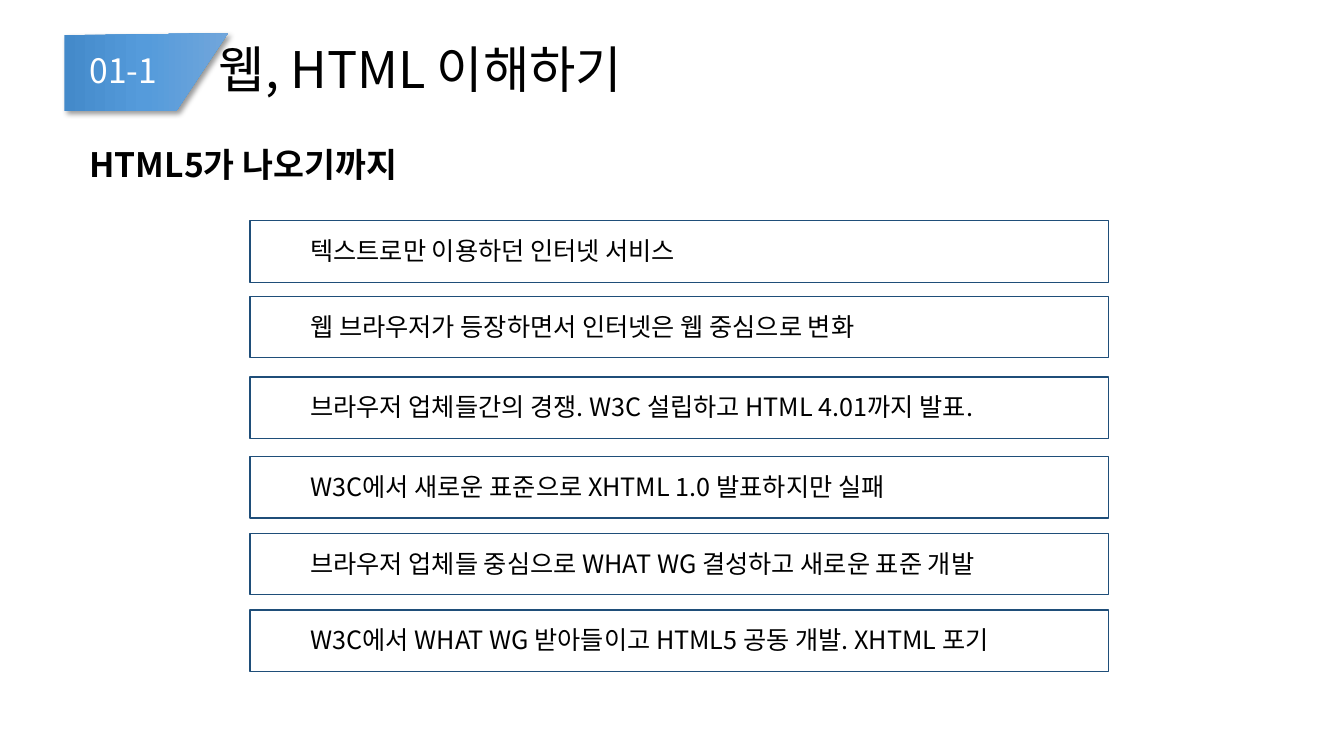
import copy

import lxml.etree
import pptx
import pptx.dml.color
import pptx.enum.shapes
import pptx.enum.text
import pptx.oxml.ns
import pptx.util

Pt = pptx.util.Pt
RGBColor = pptx.dml.color.RGBColor
qn = pptx.oxml.ns.qn

BLACK = RGBColor(0x00, 0x00, 0x00)
WHITE = RGBColor(0xFF, 0xFF, 0xFF)
NAVY = RGBColor(0x1F, 0x4E, 0x79)
TAG_BLUES = (
    RGBColor(0x44, 0x8A, 0xCA),
    RGBColor(0x55, 0x9B, 0xDB),
    RGBColor(0x71, 0xA6, 0xDB),
)

TAG_OUTLINE = ((46, 25.2), (162.7, 23.8), (126, 79.2), (46, 79.2))
HISTORY = (
    (157.7, "텍스트로만 이용하던 인터넷 서비스"),
    (211.7, "웹 브라우저가 등장하면서 인터넷은 웹 중심으로 변화"),
    (269.3, "브라우저 업체들간의 경쟁. W3C 설립하고 HTML 4.01까지 발표."),
    (326.2, "W3C에서 새로운 표준으로 XHTML 1.0 발표하지만 실패"),
    (380.9, "브라우저 업체들 중심으로 WHAT WG 결성하고 새로운 표준 개발"),
    (435.6, "W3C에서 WHAT WG 받아들이고 HTML5 공동 개발. XHTML 포기"),
)


class SlideBuilder:
    """Draws styled elements on one slide, with lengths in points."""

    font_name = "Noto Sans CJK KR"

    def __init__(self, slide):
        self.slide = slide

    def set_text(self, frame, text, size, color, bold=False):
        frame.text = text
        frame.word_wrap = True
        paragraph = frame.paragraphs[0]
        paragraph.alignment = pptx.enum.text.PP_ALIGN.LEFT
        font = paragraph.font
        font.size = Pt(size)
        font.bold = bold
        font.color.rgb = color
        font.name = self.font_name
        properties = paragraph._p.pPr.find(qn("a:defRPr"))
        east_asian = lxml.etree.SubElement(properties, qn("a:ea"))
        east_asian.set("typeface", self.font_name)
        return paragraph

    def title(self, text, left, top, width, height):
        title = self.slide.shapes.title
        title.left, title.top = Pt(left), Pt(top)
        title.width, title.height = Pt(width), Pt(height)
        frame = title.text_frame
        frame.vertical_anchor = pptx.enum.text.MSO_ANCHOR.MIDDLE
        frame.auto_size = pptx.enum.text.MSO_AUTO_SIZE.NONE
        paragraph = self.set_text(frame, text, 36, BLACK)
        paragraph.line_spacing = 0.9
        paragraph.space_before = Pt(0)

    def label(self, text, left, top, width, height, size, color=BLACK, bold=False):
        label = self.slide.shapes.add_textbox(Pt(left), Pt(top), Pt(width), Pt(height))
        self.set_text(label.text_frame, text, size, color, bold)
        label.text_frame.auto_size = pptx.enum.text.MSO_AUTO_SIZE.SHAPE_TO_FIT_TEXT

    def frame(self, left, top, width, height):
        frame = self.slide.shapes.add_shape(
            pptx.enum.shapes.MSO_SHAPE.RECTANGLE,
            Pt(left), Pt(top), Pt(width), Pt(height),
        )
        frame.shadow.inherit = False
        frame.fill.background()
        frame.line.color.rgb = NAVY
        frame.line.width = Pt(1)

    def tag(self, outline):
        corners = [(Pt(x), Pt(y)) for x, y in outline]
        builder = self.slide.shapes.build_freeform(*corners[0])
        builder.add_line_segments(corners[1:], close=True)
        tag = builder.convert_to_shape()
        tag.line.fill.background()
        self.shade(tag.fill)
        self.drop_shadow(tag)
        self.slide.shapes._spTree.insert(2, tag._element)

    def shade(self, fill):
        fill.gradient()
        fill.gradient_angle = 0
        first = fill.gradient_stops[0]._gs
        first.addnext(copy.deepcopy(first))
        for stop, color, position in zip(fill.gradient_stops, TAG_BLUES, (0, 0.5, 1)):
            stop.color.rgb = color
            stop.position = position

    def drop_shadow(self, shape):
        shape.shadow.inherit = False
        effects = shape._element.spPr.find(qn("a:effectLst"))
        shadow = lxml.etree.SubElement(
            effects, qn("a:outerShdw"),
            blurRad=str(Pt(4)), dist=str(Pt(3)), dir="2700000",
            algn="tl", rotWithShape="0",
        )
        color = lxml.etree.SubElement(shadow, qn("a:srgbClr"), val=str(BLACK))
        lxml.etree.SubElement(color, qn("a:alpha"), val="40000")


def main():
    presentation = pptx.Presentation()
    presentation.slide_width = Pt(960)
    presentation.slide_height = Pt(540)
    builder = SlideBuilder(presentation.slides.add_slide(presentation.slide_layouts[5]))

    builder.tag(TAG_OUTLINE)
    builder.title(" 웹, HTML 이해하기", 141, 23.8, 752.4, 55.4)
    builder.label("01-1", 56.9, 32.4, 79.2, 36, 24, WHITE)
    builder.label("HTML5가 나오기까지", 56.9, 99.4, 279.4, 36, 24, bold=True)
    for top, event in HISTORY:
        builder.frame(178.6, top, 613.4, 43.9)
        builder.label(event, 214.6, top + 7, 550.8, 28.8, 18)

    presentation.save("out.pptx")


if __name__ == "__main__":
    main()
